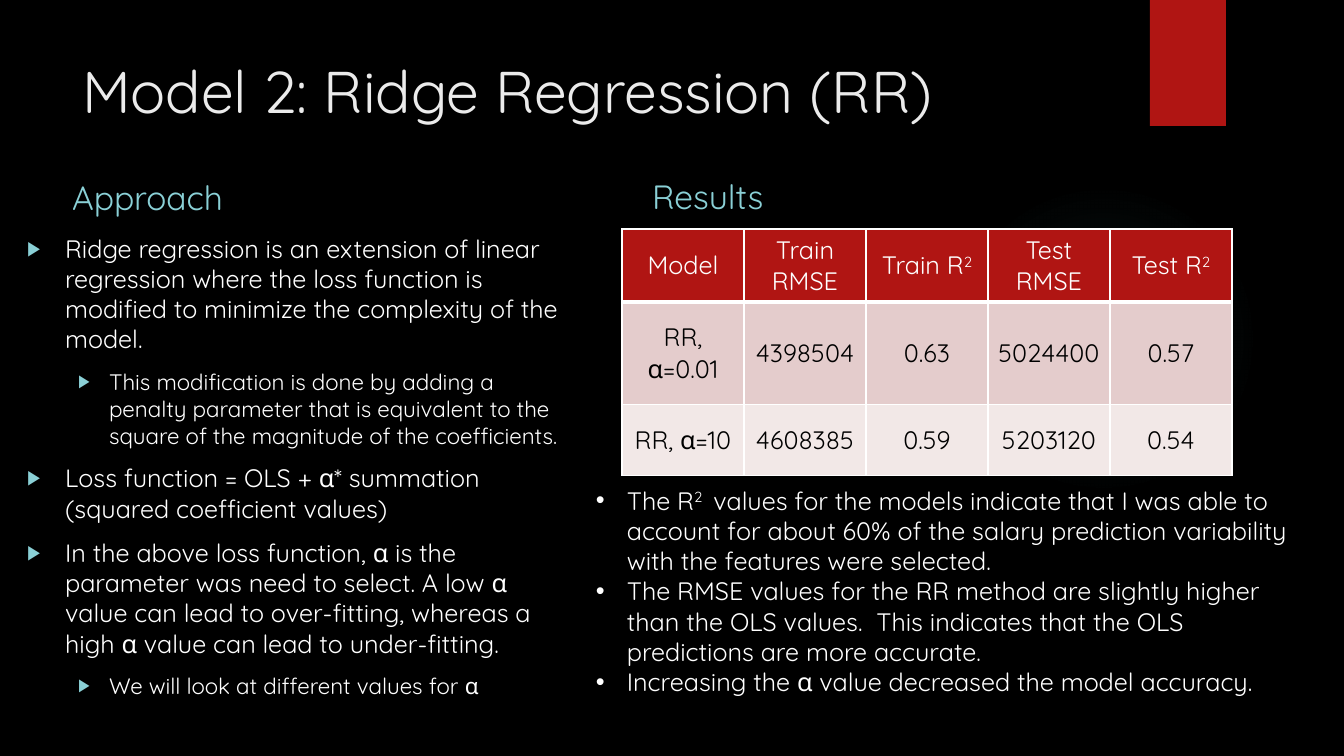
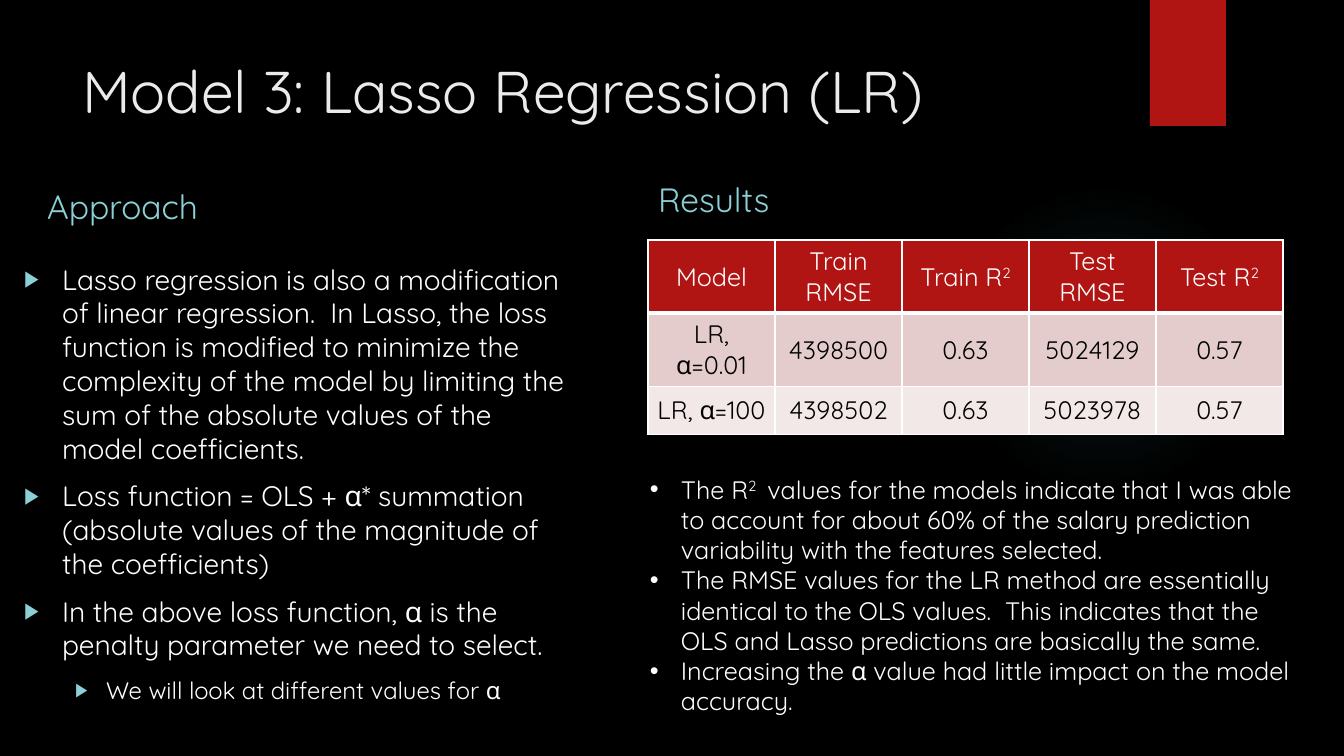
from dataclasses import dataclass

import lxml.etree
import pptx
import pptx.dml.color
import pptx.enum.shapes
import pptx.enum.text
import pptx.oxml
import pptx.oxml.ns
import pptx.util

RGB = pptx.dml.color.RGBColor
ALIGN = pptx.enum.text.PP_ALIGN
ANCHOR = pptx.enum.text.MSO_ANCHOR
SHAPE = pptx.enum.shapes.MSO_SHAPE
qn = pptx.oxml.ns.qn

# Shared look
FONT = "Quicksand"
BLACK = RGB(0x00, 0x00, 0x00)
WHITE = RGB(0xFF, 0xFF, 0xFF)
TITLE_GREY = RGB(0xEB, 0xEB, 0xEB)
RED = RGB(0xB0, 0x15, 0x13)
AQUA = RGB(0x8A, 0xD0, 0xD6)
GLOW = RGB(0x50, 0xB9, 0xC1)
ROW_TINTS = (RGB(0xE4, 0xCC, 0xCC), RGB(0xF2, 0xE8, 0xE7))
GLOW_STOPS = ((0, 7), (36, 6), (69, 0))  # position %, opacity %
TABLE_HEADER = ("Model", "Train RMSE", "Train R^2^", "Test RMSE", "Test R^2^")
EMU_PER_PX = 914400 / 100.8


def px(length: int) -> pptx.util.Emu:
    return pptx.util.Emu(round(length * EMU_PER_PX))


@dataclass(frozen=True)
class Box:
    left: int
    top: int
    width: int
    height: int

    def emu(self) -> tuple:
        return px(self.left), px(self.top), px(self.width), px(self.height)


@dataclass(frozen=True)
class Bullet:
    mark: str
    margin: int
    hanging: int
    color: RGB = WHITE
    percent: int = 100


@dataclass(frozen=True)
class Point:
    text: str
    level: int = 0


@dataclass(frozen=True)
class ModelSlide:
    title: str
    approach_at: Box
    points_at: Box
    point_sizes: tuple[float, float]
    points: tuple[Point, ...]
    results_at: Box
    table_at: tuple[int, int]
    column_width: int
    row_heights: tuple[int, ...]
    scores: tuple[tuple[str, ...], ...]
    findings_at: Box
    findings: tuple[str, ...]


BAND = Box(1150, 0, 76, 126)
GLOW_AT = Box(949, 184, 310, 310)
TITLE_AT = Box(72, 50, 1037, 154)
POINT_BULLETS = (Bullet("▶", 38, 38, AQUA, 80), Bullet("▶", 82, 31, AQUA, 80))
FINDING_BULLET = Bullet("•", 31, 31)

# Content
MODELS = (
    ModelSlide(
        title="Model 2: Ridge Regression (RR)",
        approach_at=Box(62, 158, 485, 64),
        points_at=Box(17, 228, 569, 469),
        point_sizes=(18, 16),
        points=(
            Point("Ridge regression is an extension of linear regression where the loss "
                  "function is modified to minimize the complexity of the model."),
            Point("This modification is done by adding a penalty parameter that is "
                  "equivalent to the square of the magnitude of the coefficients.", 1),
            Point("Loss function = OLS + α* summation (squared coefficient values)"),
            Point("In the above loss function, α is the parameter was need to select. "
                  "A low α value can lead to over-fitting, whereas a high α value can "
                  "lead to under-fitting."),
            Point("We will look at different values for α", 1),
        ),
        results_at=Box(642, 157, 485, 64),
        table_at=(622, 229),
        column_width=122,
        row_heights=(71, 102, 71),
        scores=(
            ("RR, α=0.01", "4398504", "0.63", "5024400", "0.57"),
            ("RR, α=10", "4608385", "0.59", "5203120", "0.54"),
        ),
        findings_at=Box(586, 480, 724, 285),
        findings=(
            "The R^2 ^ values for the models indicate that I was able to account for about "
            "60% of the salary prediction variability with the features were selected.",
            "The RMSE values for the RR method are slightly higher than the OLS values.  "
            "This indicates that the OLS predictions are more accurate.",
            "Increasing the α value decreased the model accuracy.",
        ),
    ),
    ModelSlide(
        title="Model 3: Lasso Regression (LR)",
        approach_at=Box(37, 167, 485, 64),
        points_at=Box(14, 257, 569, 469),
        point_sizes=(20.1, 17.1),
        points=(
            Point("Lasso regression is also a modification of linear regression.  In Lasso, "
                  "the loss function is modified to minimize the complexity of the model by "
                  "limiting the sum of the absolute values of the model coefficients."),
            Point("Loss function = OLS + α* summation (absolute values of the magnitude of "
                  "the coefficients)"),
            Point("In the above loss function, α is the penalty parameter we need to select."),
            Point("We will look at different values for α", 1),
        ),
        results_at=Box(648, 160, 485, 64),
        table_at=(648, 240),
        column_width=127,
        row_heights=(48, 69, 48),
        scores=(
            ("LR, α=0.01", "4398500", "0.63", "5024129", "0.57"),
            ("LR, α=100", "4398502", "0.63", "5023978", "0.57"),
        ),
        findings_at=Box(640, 469, 663, 285),
        findings=(
            "The R^2 ^ values for the models indicate that I was able to account for about "
            "60% of the salary prediction variability with the features selected.",
            "The RMSE values for the LR method are essentially identical to the OLS values.  "
            "This indicates that the OLS and Lasso predictions are basically the same.",
            "Increasing the α value had little impact on the model accuracy.",
        ),
    ),
)


# Text
def set_bullet(paragraph, bullet: Bullet | None) -> None:
    properties = paragraph._p.get_or_add_pPr()
    properties.set("marL", str(px(bullet.margin) if bullet else 0))
    properties.set("indent", str(-px(bullet.hanging) if bullet else 0))

    def add(tag: str, parent=properties, **attributes: str):
        return lxml.etree.SubElement(parent, qn(tag), attributes)

    if bullet is None:
        add("a:buNone")
        return
    add("a:srgbClr", add("a:buClr"), val=str(bullet.color))
    add("a:buSzPct", val=str(bullet.percent * 1000))
    add("a:buFont", typeface="Arial")
    add("a:buChar", char=bullet.mark)


def write(paragraph, text: str, *, size: float, color: RGB, align=ALIGN.LEFT,
          level: int = 0, before: int = 0, bullet: Bullet | None = None) -> None:
    """Write text; the parts between ^ marks are superscript."""
    set_bullet(paragraph, bullet)
    paragraph.level = level
    paragraph.alignment = align
    paragraph.space_before = pptx.util.Pt(before)
    for index, part in enumerate(text.split("^")):
        if not part:
            continue
        run = paragraph.add_run()
        run.text = part
        run.font.name = FONT
        run.font.size = pptx.util.Pt(size)
        run.font.bold = False
        run.font.color.rgb = color
        if index % 2:
            run._r.get_or_add_rPr().set("baseline", "30000")


def place(holder, box: Box, anchor=ANCHOR.TOP):
    """Move a text holder and return its frame, ready for writing."""
    holder.left, holder.top, holder.width, holder.height = box.emu()
    frame = holder.text_frame
    frame.word_wrap = True
    frame.auto_size = pptx.enum.text.MSO_AUTO_SIZE.NONE
    frame.vertical_anchor = anchor
    return frame


def next_paragraph(frame, index: int):
    return frame.add_paragraph() if index else frame.paragraphs[0]


# Shared backdrop, kept on the layout
def glow_fill():
    gradient = lxml.etree.Element(qn("a:gradFill"))
    stops = lxml.etree.SubElement(gradient, qn("a:gsLst"))
    for position, opacity in GLOW_STOPS:
        stop = lxml.etree.SubElement(stops, qn("a:gs"), pos=str(position * 1000))
        color = lxml.etree.SubElement(stop, qn("a:srgbClr"), val=str(GLOW))
        lxml.etree.SubElement(color, qn("a:alpha"), val=str(opacity * 1000))
    route = lxml.etree.SubElement(gradient, qn("a:path"), {"path": "circle"})
    lxml.etree.SubElement(route, qn("a:fillToRect"),
                          {side: "50000" for side in ("l", "t", "r", "b")})
    return gradient


def add_backdrop(layout, slide) -> None:
    layout.background.fill.solid()
    layout.background.fill.fore_color.rgb = BLACK
    glow = slide.shapes.add_shape(SHAPE.OVAL, *GLOW_AT.emu())
    glow.fill.background()
    outline = glow._element.spPr
    outline.replace(outline.find(qn("a:noFill")), glow_fill())
    band = slide.shapes.add_shape(SHAPE.RECTANGLE, *BAND.emu())
    band.fill.solid()
    band.fill.fore_color.rgb = RED
    for order, part in enumerate((glow, band)):
        part.line.fill.background()
        part.shadow.inherit = False
        part._element.nvSpPr.cNvPr.set("id", str(101 + order))
        layout.shapes._spTree.insert(2 + order, part._element)


# Results table
def set_borders(cell, bottom: int) -> None:
    properties = cell._tc.get_or_add_tcPr()
    widths = {"a:lnL": 1, "a:lnR": 1, "a:lnT": 1, "a:lnB": bottom}
    for order, (tag, width) in enumerate(widths.items()):
        border = lxml.etree.Element(qn(tag), w=str(pptx.util.Pt(width)))
        fill = lxml.etree.SubElement(border, qn("a:solidFill"))
        lxml.etree.SubElement(fill, qn("a:srgbClr"), val=str(WHITE))
        properties.insert(order, border)


def add_scores(slide, model: ModelSlide) -> None:
    rows = (TABLE_HEADER, *model.scores)
    box = Box(*model.table_at, model.column_width * len(TABLE_HEADER), sum(model.row_heights))
    table = slide.shapes.add_table(len(rows), len(TABLE_HEADER), *box.emu()).table
    for column in table.columns:
        column.width = px(model.column_width)
    for index, (values, height) in enumerate(zip(rows, model.row_heights)):
        table.rows[index].height = px(height)
        is_header = index == 0
        for cell, value in zip(table.rows[index].cells, values):
            cell.margin_left = cell.margin_right = px(8)
            cell.margin_top = cell.margin_bottom = px(5)
            cell.vertical_anchor = ANCHOR.MIDDLE
            cell.fill.solid()
            cell.fill.fore_color.rgb = RED if is_header else ROW_TINTS[index - 1]
            set_borders(cell, bottom=3 if is_header else 1)
            write(cell.text_frame.paragraphs[0], value, size=18, align=ALIGN.CENTER,
                  color=WHITE if is_header else BLACK)


# One slide
def fill_slide(slide, model: ModelSlide) -> None:
    title, approach, points, results, spare = slide.placeholders
    spare._element.getparent().remove(spare._element)
    write(place(title, TITLE_AT).paragraphs[0], model.title, size=42, color=TITLE_GREY)
    for heading, text, box in ((approach, "Approach", model.approach_at),
                               (results, "Results", model.results_at)):
        frame = place(heading, box, ANCHOR.BOTTOM)
        write(frame.paragraphs[0], text, size=24, color=AQUA)

    frame = place(points, model.points_at)
    for index, point in enumerate(model.points):
        write(next_paragraph(frame, index), point.text, size=model.point_sizes[point.level],
              color=WHITE, level=point.level, before=10 if index else 0,
              bullet=POINT_BULLETS[point.level])

    add_scores(slide, model)
    frame = place(slide.shapes.add_textbox(*model.findings_at.emu()), model.findings_at)
    for index, finding in enumerate(model.findings):
        write(next_paragraph(frame, index), finding, size=18, color=WHITE,
              bullet=FINDING_BULLET)


def main() -> None:
    deck = pptx.Presentation()
    deck.slide_width, deck.slide_height = px(1344), px(756)
    comparison = deck.slide_layouts.get_by_name("Comparison")
    for index, model in enumerate(MODELS):
        slide = deck.slides.add_slide(comparison)
        if index == 0:
            add_backdrop(comparison, slide)
        fill_slide(slide, model)
    deck.save("out.pptx")


if __name__ == "__main__":
    main()
